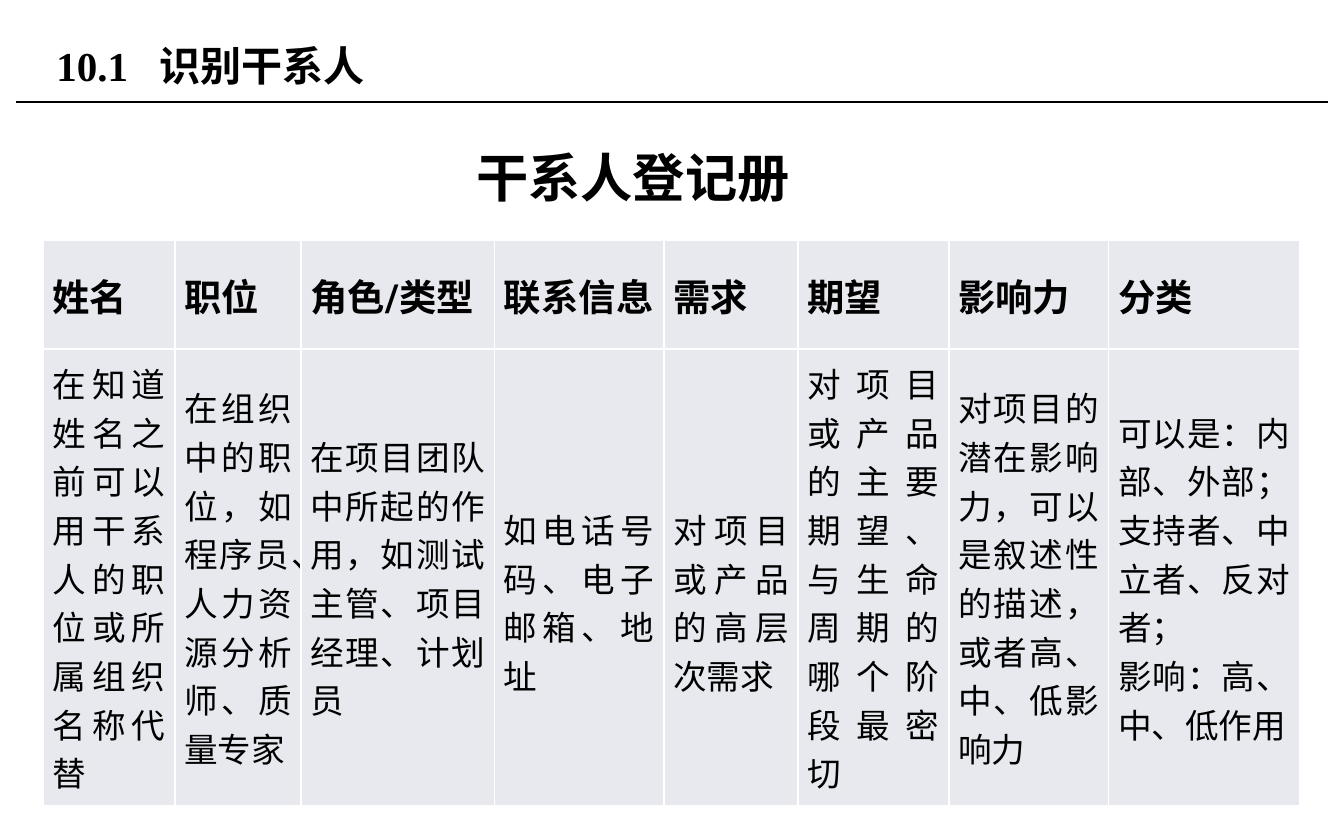
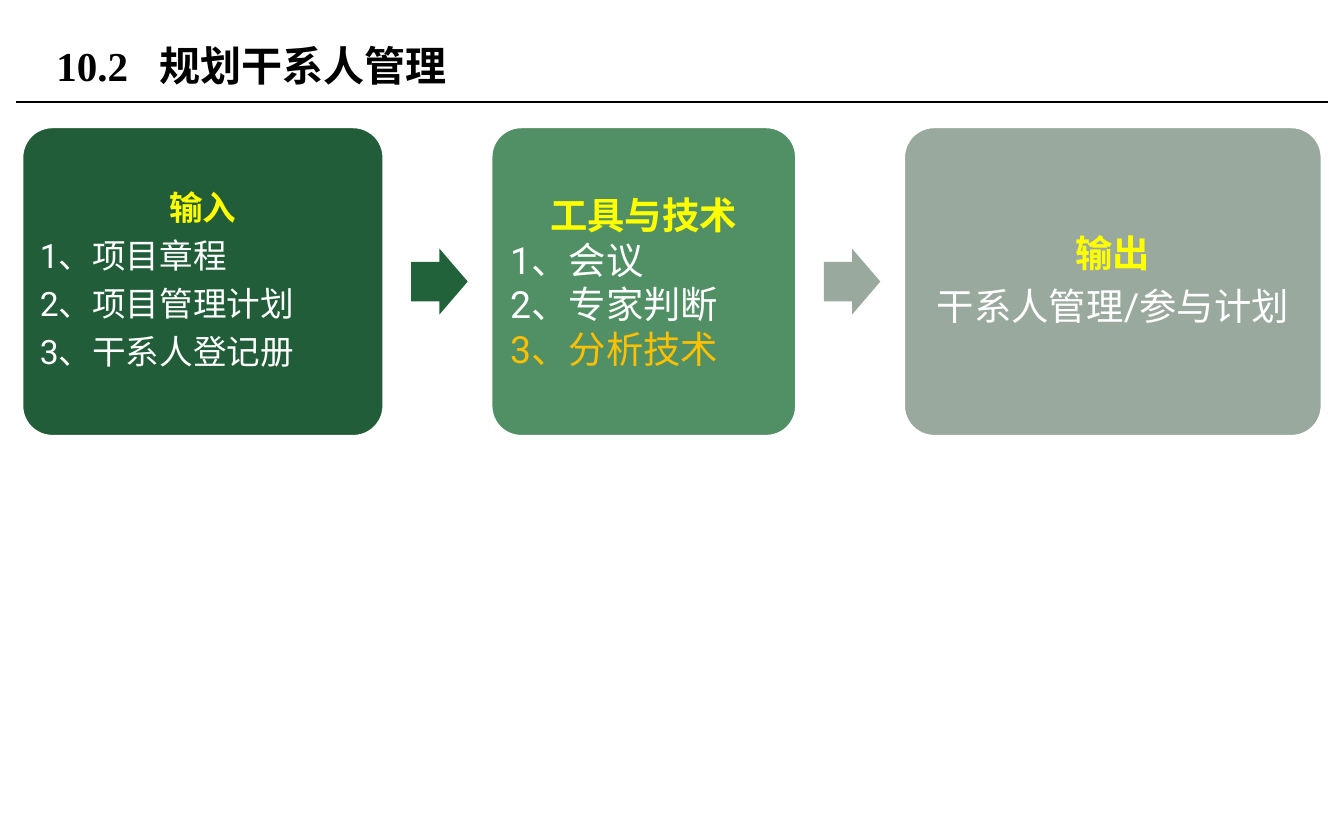
from dataclasses import dataclass

from lxml.etree import SubElement
from pptx import Presentation
from pptx.dml.color import RGBColor
from pptx.enum.shapes import MSO_CONNECTOR, MSO_SHAPE
from pptx.enum.text import MSO_ANCHOR as Anchor, MSO_AUTO_SIZE as AutoSize, PP_ALIGN as Align
from pptx.oxml.ns import qn
from pptx.util import Inches, Pt

BLACK, WHITE, YELLOW, AMBER = "000000", "FFFFFF", "FFFF00", "FFC000"
CELL_FILL = "E7E9EE"
LATIN, SERIF, CHINESE = "Roboto", "Times New Roman", "Noto Sans CJK SC"
PANEL_TOP, PANEL_HEIGHT, PANEL_GAP = 0.94, 2.31, 0.79
ARROW_WIDTH, ARROW_HEIGHT, ARROW_OFFSET = 0.42, 0.49, 0.2


@dataclass
class TextStyle:
    size: float
    color: str = BLACK
    bold: bool = False
    latin: str = LATIN
    asian: str = CHINESE


@dataclass
class RegisterColumn:
    heading: str
    width: float
    body: tuple[str, ...]
    top_margin: float = 0


@dataclass
class Panel:
    heading: str
    items: tuple[str, ...]
    width: float
    fill: str
    size: int
    margin: float = 0.08
    arrow_fill: str = ""
    spaced: bool = True
    item_align: Align = Align.LEFT
    highlighted: str = ""


REGISTER = (
    RegisterColumn("姓名", 0.98, ("在知道姓名之前可以用干系人的职位或所属组织名称代替",)),
    RegisterColumn("职位", 0.94, ("在组织中的职位，如程序员、人力资源分析师、质量专家",)),
    RegisterColumn("角色/类型", 1.44, ("在项目团队中所起的作用，如测试主管、项目经理、计划员",)),
    RegisterColumn("联系信息", 1.26, ("如电话号码、电子邮箱、地址",), 0.36),
    RegisterColumn("需求", 1, ("对项目或产品的高层次需求",), 0.36),
    RegisterColumn("期望", 1.12, ("对项目或产品的主要期望、与生命周期的哪个阶段最密切",)),
    RegisterColumn("影响力", 1.19, ("对项目的潜在影响力，可以是叙述性的描述，或者高、中、低影响力",)),
    RegisterColumn("分类", 1.42, ("可以是：内部、外部；支持者、中立者、反对者；", "影响：高、中、低作用")),
)

PANELS = (
    Panel("输入", ("1、项目章程", "2、项目管理计划", "3、干系人登记册"), 2.7, "215D38", 18,
          margin=0.07, arrow_fill="22623B"),
    Panel("工具与技术", ("1、会议", "2、专家判断", "3、分析技术"), 2.28, "519065", 20,
          arrow_fill="99A99D", spaced=False, highlighted="3、分析技术"),
    Panel("输出", ("干系人管理/参与计划",), 3.12, "9AA99E", 20, item_align=Align.CENTER),
)


def rgb(color: str) -> RGBColor:
    """Turn a hex string into a colour."""
    return RGBColor.from_string(color)


def add_run(paragraph, text: str, style: TextStyle) -> None:
    """Add one formatted run to a paragraph."""
    run = paragraph.add_run()
    run.text = text
    run.font.size = Pt(style.size)
    run.font.bold = style.bold
    run.font.color.rgb = rgb(style.color)
    run.font.name = style.latin
    SubElement(run.font._element, qn("a:ea"), typeface=style.asian)


def next_paragraph(frame, index: int):
    """Return the first paragraph of a frame, or a new one after it."""
    return frame.add_paragraph() if index else frame.paragraphs[0]


def set_margins(target, side: float, top: float, bottom: float) -> None:
    """Set the margins of a text frame or table cell."""
    target.margin_left = target.margin_right = Inches(side)
    target.margin_top, target.margin_bottom = Inches(top), Inches(bottom)


def add_titled_slide(presentation, layout, number: str, title: str):
    """Add a slide with a numbered title."""
    slide = presentation.slides.add_slide(layout)
    shape = slide.shapes.title
    shape.left, shape.top, shape.width, shape.height = map(Inches, (0.32, 0.13, 6.38, 0.71))
    shape.text_frame.vertical_anchor = Anchor.MIDDLE
    paragraph = shape.text_frame.paragraphs[0]
    paragraph.alignment = Align.LEFT
    tabs = SubElement(paragraph._p.get_or_add_pPr(), qn("a:tabLst"))
    SubElement(tabs, qn("a:tab"), pos=str(Inches(0.77)), algn="l")
    add_run(paragraph, f"{number}\t{title}", TextStyle(22, bold=True, latin=SERIF))
    return slide


def move_rule_to_layout(slide, layout) -> None:
    """Draw the line under the title and place it on the shared layout."""
    rule = slide.shapes.add_connector(
        MSO_CONNECTOR.STRAIGHT, Inches(0.12), Inches(0.76), Inches(9.88), Inches(0.76))
    rule.line.color.rgb = rgb(BLACK)
    rule.line.width = Pt(0.75)
    SubElement(rule.element.spPr, qn("a:effectLst"))
    layout.shapes.element.append(rule.element)


def fill_cell(cell, lines: tuple[str, ...], style: TextStyle, top_margin: float = 0) -> None:
    """Write justified text in a cell with white borders."""
    set_margins(cell, 0.07, top_margin, 0)
    cell.vertical_anchor = Anchor.MIDDLE
    for side in ("a:lnL", "a:lnR", "a:lnT", "a:lnB"):
        border = SubElement(cell._tc.get_or_add_tcPr(), qn(side), w=str(Pt(1)))
        SubElement(SubElement(border, qn("a:solidFill")), qn("a:srgbClr"), val=WHITE)
    cell.fill.solid()
    cell.fill.fore_color.rgb = rgb(CELL_FILL)
    for index, line in enumerate(lines):
        paragraph = next_paragraph(cell.text_frame, index)
        paragraph.alignment = Align.JUSTIFY
        add_run(paragraph, line, style)


def add_register(slide) -> None:
    """Add the stakeholder register and its caption."""
    table = slide.shapes.add_table(
        2, len(REGISTER), Inches(0.32), Inches(1.79), Inches(9.36), Inches(4.12)).table
    table.first_row = table.horz_banding = False
    table.rows[0].height, table.rows[1].height = Inches(0.72), Inches(3.4)
    for index, column in enumerate(REGISTER):
        table.columns[index].width = Inches(column.width)
        fill_cell(table.cell(0, index), (column.heading,), TextStyle(20, bold=True))
        fill_cell(table.cell(1, index), column.body, TextStyle(18), column.top_margin)

    frame = slide.shapes.add_textbox(
        Inches(3.43), Inches(1.03), Inches(2.56), Inches(0.57)).text_frame
    frame.word_wrap = False
    frame.auto_size = AutoSize.SHAPE_TO_FIT_TEXT
    frame.vertical_anchor = Anchor.MIDDLE
    frame.paragraphs[0].alignment = Align.CENTER
    add_run(frame.paragraphs[0], "干系人登记册", TextStyle(28, bold=True, latin=CHINESE))


def add_filled_shape(slide, preset: MSO_SHAPE, left: float, top: float, width: float,
                     height: float, fill: str, adjustments: tuple[float, ...]):
    """Add a flat preset shape without an outline."""
    shape = slide.shapes.add_shape(
        preset, Inches(left), Inches(top), Inches(width), Inches(height))
    shape.shadow.inherit = False
    shape.fill.solid()
    shape.fill.fore_color.rgb = rgb(fill)
    shape.line.fill.background()
    for index, value in enumerate(adjustments):
        shape.adjustments[index] = value
    return shape


def add_panel(slide, panel: Panel, left: float) -> None:
    """Add one process panel with its heading and items."""
    shape = add_filled_shape(slide, MSO_SHAPE.ROUNDED_RECTANGLE, left, PANEL_TOP,
                             panel.width, PANEL_HEIGHT, panel.fill, (0.1,))
    shape.line.color.rgb = rgb(WHITE)
    shape.line.width = Pt(2)
    frame = shape.text_frame
    frame.word_wrap = True
    frame.vertical_anchor = Anchor.MIDDLE
    set_margins(frame, panel.margin, panel.margin, panel.margin)
    for index, text in enumerate((panel.heading, *panel.items)):
        paragraph = next_paragraph(frame, index)
        paragraph.alignment = panel.item_align if index else Align.CENTER
        if panel.spaced:
            paragraph.line_spacing = 0.9
            paragraph.space_after = Pt(panel.size * 0.35)
        item_color = AMBER if text == panel.highlighted else WHITE
        color = item_color if index else YELLOW
        add_run(paragraph, text, TextStyle(panel.size, color, index == 0, asian=LATIN))


def add_process(slide) -> None:
    """Lay out the panels from left to right with arrows between them."""
    left = 0.16
    arrow_top = PANEL_TOP + (PANEL_HEIGHT - ARROW_HEIGHT) / 2
    for panel in PANELS:
        add_panel(slide, panel, left)
        right = left + panel.width
        if panel.arrow_fill:
            add_filled_shape(slide, MSO_SHAPE.RIGHT_ARROW, right + ARROW_OFFSET, arrow_top,
                             ARROW_WIDTH, ARROW_HEIGHT, panel.arrow_fill, (0.6, 0.5))
        left = right + PANEL_GAP


def main() -> None:
    """Build both slides and save the presentation."""
    presentation = Presentation()
    presentation.slide_width, presentation.slide_height = Inches(10), Inches(6.25)
    layout = presentation.slide_layouts[5]
    register_slide = add_titled_slide(presentation, layout, "10.1", "识别干系人")
    move_rule_to_layout(register_slide, layout)
    add_register(register_slide)
    add_process(add_titled_slide(presentation, layout, "10.2", "规划干系人管理"))
    presentation.save("out.pptx")


if __name__ == "__main__":
    main()
